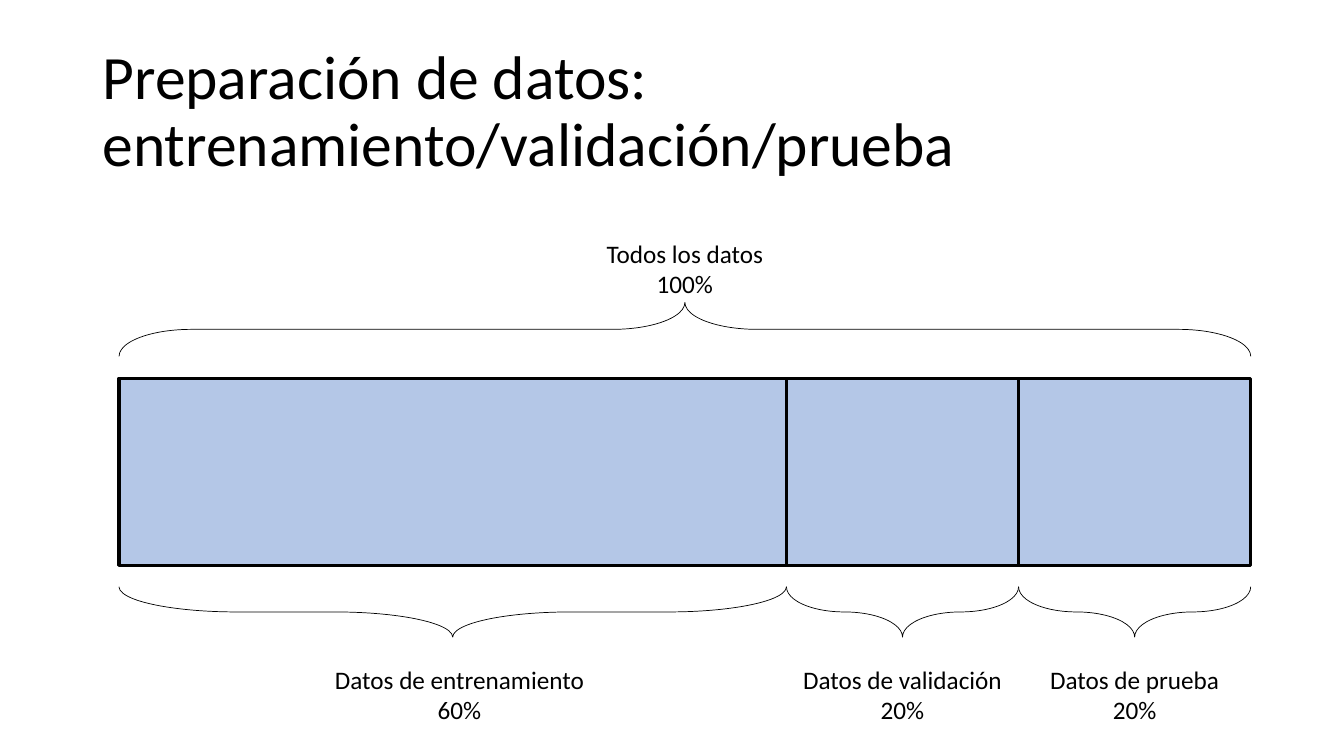
from pptx import Presentation
from pptx.dml.color import RGBColor
from pptx.enum.shapes import MSO_SHAPE
from pptx.enum.text import MSO_ANCHOR, MSO_AUTO_SIZE, PP_ALIGN
from pptx.util import Cm, Pt

TITLE = "Preparación de datos: entrenamiento/validación/prueba"
WHOLE = ("Todos los datos", "100%", 4.5)
# name, share, label width, segment width, label shift to the right (cm)
SEGMENTS = [
    ("Datos de entrenamiento", "60%", 6.86, 16.82, 0.17),
    ("Datos de validación", "20%", 5.59, 5.85, 0),
    ("Datos de prueba", "20%", 4.83, 5.85, 0),
]
FONT, BLACK, BLUE = "Calibri", "000000", "B4C7E7"
BAR_LEFT, BAR_TOP, BAR_HEIGHT = 3.0, 9.53, 4.72
BAR_WIDTH = sum(segment[3] for segment in SEGMENTS)
POINT_UP, POINT_DOWN = 90, 270


def color(hex_string):
    return RGBColor.from_string(hex_string)


def format_text(frame, size):
    for para in frame.paragraphs:
        for span in para.runs:
            span.font.name = FONT
            span.font.size = Pt(size)
            span.font.color.rgb = color(BLACK)


def add_segment(page, left, width):
    box = page.shapes.add_shape(MSO_SHAPE.RECTANGLE, Cm(left), Cm(BAR_TOP),
                                Cm(width), Cm(BAR_HEIGHT))
    box.shadow.inherit = False
    box.fill.solid()
    box.fill.fore_color.rgb = color(BLUE)
    box.line.color.rgb = color(BLACK)
    box.line.width = Pt(2.25)


def add_brace(page, center, middle, span, depth, curve, rotation):
    """Add a brace turned to lie flat, centred on (center, middle)."""
    brace = page.shapes.add_shape(
        MSO_SHAPE.LEFT_BRACE, Cm(center - depth / 2), Cm(middle - span / 2),
        Cm(depth), Cm(span))
    brace.rotation = rotation
    brace.adjustments[0] = curve
    brace.shadow.inherit = False
    brace.fill.background()
    brace.line.color.rgb = color(BLACK)
    brace.line.width = Pt(0.5)


def add_label(page, name, share, center, top, width):
    box = page.shapes.add_textbox(Cm(center - width / 2), Cm(top),
                                  Cm(width), Cm(1.8))
    frame = box.text_frame
    frame.word_wrap = False
    frame.auto_size = MSO_AUTO_SIZE.SHAPE_TO_FIT_TEXT
    frame.text = f"{name}\n{share}"
    for para in frame.paragraphs:
        para.alignment = PP_ALIGN.CENTER
    format_text(frame, 18)


def main():
    deck = Presentation()
    deck.slide_width, deck.slide_height = Cm(33.87), Cm(19.05)
    page = deck.slides.add_slide(deck.slide_layouts[5])

    title = page.shapes.title
    title.left, title.top = Cm(2.33), Cm(1.01)
    title.width, title.height = Cm(29.21), Cm(3.68)
    frame = title.text_frame
    frame.text = TITLE
    frame.word_wrap = True
    frame.vertical_anchor = MSO_ANCHOR.MIDDLE
    frame.paragraphs[0].alignment = PP_ALIGN.LEFT
    frame.paragraphs[0].line_spacing = 0.9
    format_text(frame, 44)

    name, share, label_width = WHOLE
    bar_center = BAR_LEFT + BAR_WIDTH / 2
    add_brace(page, bar_center, 8.3, BAR_WIDTH, 1.36, 1.34, POINT_UP)
    add_label(page, name, share, bar_center, 5.87, label_width)

    left = BAR_LEFT
    for name, share, label_width, width, shift in SEGMENTS:
        center = left + width / 2
        add_segment(page, left, width)
        add_brace(page, center, 15.42, width, 1.27, 2.34, POINT_DOWN)
        add_label(page, name, share, center + shift, 16.61, label_width)
        left += width

    deck.save("out.pptx")


if __name__ == "__main__":
    main()
